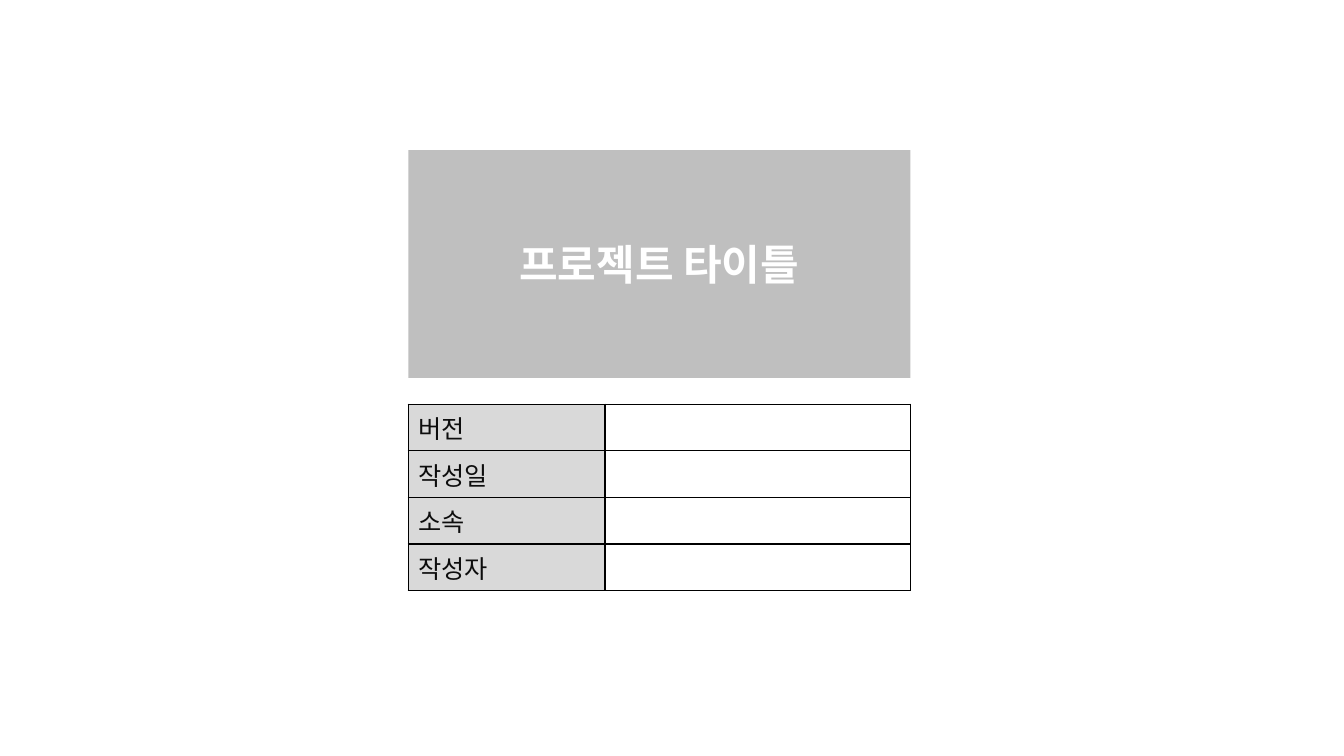
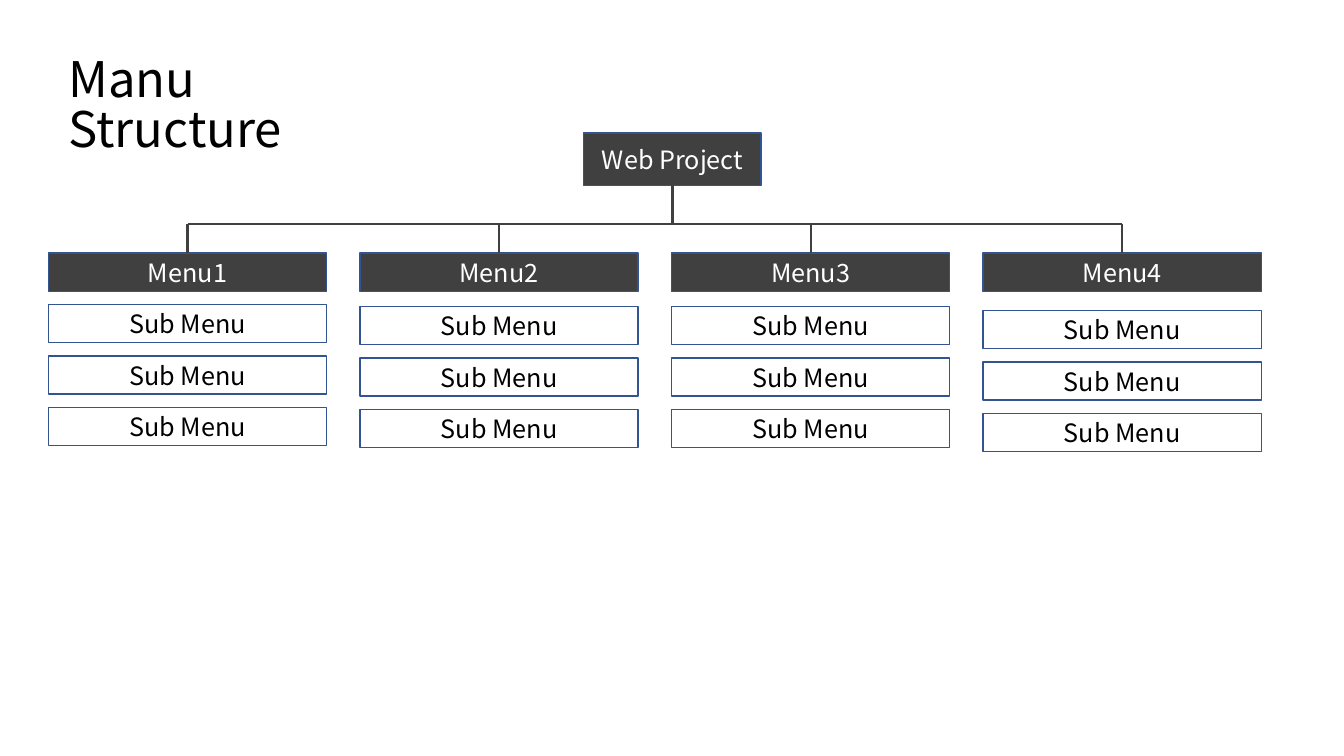
from lxml.etree import SubElement
from pptx import Presentation
from pptx.dml.color import RGBColor
from pptx.enum.shapes import MSO_CONNECTOR, MSO_SHAPE
from pptx.enum.text import MSO_ANCHOR, MSO_AUTO_SIZE, PP_ALIGN
from pptx.oxml.ns import qn
from pptx.util import Emu, Pt

# Shared look; 100 px make one inch
EMU_PER_PX = 9144
FONT = "Noto Sans CJK KR"
BLACK, WHITE = "000000", "FFFFFF"
INK, DARK = "0D0D0D", "404040"
BANNER, LABEL = "BFBFBF", "D9D9D9"
OUTLINE = "325491"
TITLE_ONLY = 5

COVER_LABELS = ["버전", "작성일", "소속", "작성자"]
MENUS = ["Menu1", "Menu2", "Menu3", "Menu4"]
SUB_MENUS = ["Sub Menu"] * 3
SUB_OFFSETS = [51, 53, 53, 57]  # first sub menu below each menu's top


def px(*lengths):
    return [Emu(length * EMU_PER_PX) for length in lengths]


def colour(hex_value):
    return RGBColor.from_string(hex_value)


def set_all(target, values):
    for name, value in values.items():
        setattr(target, name, value)


def write(frame, text, size, ink, bold=False, align=PP_ALIGN.CENTER):
    para = frame.paragraphs[0]
    para.alignment = align
    span = para.add_run()
    span.text = text
    set_all(span.font, {"name": FONT, "size": Pt(size), "bold": bold})
    span.font.color.rgb = colour(ink)
    # Hangul takes the East Asian typeface
    SubElement(span.font._element, qn("a:ea"), typeface=FONT)
    return para


def place_title(page, box, text, size, ink, **style):
    title = page.shapes.title
    set_all(title, dict(zip(("left", "top", "width", "height"), px(*box))))
    set_all(title.text_frame, {
        "word_wrap": True,
        "auto_size": MSO_AUTO_SIZE.NONE,
        "vertical_anchor": MSO_ANCHOR.MIDDLE,
    })
    write(title.text_frame, text, size, ink, **style)
    return title


def add_box(page, box, text, ink, fill=None):
    shape = page.shapes.add_shape(MSO_SHAPE.RECTANGLE, *px(*box))
    shape.shadow.inherit = False
    if fill:
        shape.fill.solid()
        shape.fill.fore_color.rgb = colour(fill)
    else:
        shape.fill.background()
    shape.line.color.rgb = colour(OUTLINE)
    shape.line.width = Pt(1)
    set_all(shape.text_frame,
            {"word_wrap": True, "vertical_anchor": MSO_ANCHOR.MIDDLE})
    write(shape.text_frame, text, 18, ink)
    return shape


def add_line(page, start, end):
    line = page.shapes.add_connector(MSO_CONNECTOR.STRAIGHT, *px(*start, *end))
    line.line.color.rgb = colour(DARK)
    line.line.width = Pt(1.5)
    SubElement(line._element.spPr, qn("a:effectLst"))
    return line


def style_cell(cell, fill):
    properties = cell._tc.get_or_add_tcPr()
    for side in ("a:lnL", "a:lnR", "a:lnT", "a:lnB"):
        border = SubElement(properties, qn(side), w=str(Pt(1)))
        solid = SubElement(border, qn("a:solidFill"))
        SubElement(solid, qn("a:srgbClr"), val=BLACK)
    cell.fill.solid()
    cell.fill.fore_color.rgb = colour(fill)


def add_info_table(page, box, labels, label_width):
    width = box[2]
    table = page.shapes.add_table(len(labels), 2, *px(*box)).table
    set_all(table, {"first_row": False, "horz_banding": False})
    widths = px(label_width, width - label_width)
    for column, column_width in zip(table.columns, widths):
        column.width = column_width
    for row, label in zip(table.rows, labels):
        label_cell, value_cell = row.cells
        style_cell(label_cell, LABEL)
        style_cell(value_cell, WHITE)
        write(label_cell.text_frame, label, 18, INK, align=PP_ALIGN.LEFT)


def add_menu_column(page, box, menu, sub_menus, sub_offset):
    left, top, width, height = box
    head = add_box(page, box, menu, WHITE, DARK)
    for index, sub_menu in enumerate(sub_menus):
        sub_top = top + sub_offset + 51 * index
        add_box(page, (left, sub_top, width, height), sub_menu, BLACK)
    return head


def add_menu_tree(page, box):
    left, top, width, _ = box
    column_width, column_step = 276, 309
    menu_top, bar_y = top + 119, top + 90

    # Root
    root_left, root_width, root_height = left + 531, 176, 52
    root = add_box(page, (root_left, top, root_width, root_height),
                   "Web Project", WHITE, DARK)

    # Menu columns
    lefts = [left + column_step * index for index in range(len(MENUS))]
    heads = [
        add_menu_column(page, (column, menu_top, column_width, 38),
                        menu, SUB_MENUS, offset)
        for column, menu, offset in zip(lefts, MENUS, SUB_OFFSETS)
    ]

    # Lines from the root through the bar to the menus
    centres = [column + column_width // 2 for column in lefts]
    add_line(page, (centres[0], bar_y), (centres[-1], bar_y))
    root_centre = root_left + root_width // 2
    trunk = add_line(page, (root_centre, top + root_height), (root_centre, bar_y))
    trunk.begin_connect(root, 2)
    for centre, head in zip(centres, heads):
        branch = add_line(page, (centre, bar_y), (centre, menu_top))
        branch.end_connect(head, 0)


def build_cover(page, box):
    left, top, width, _ = box
    banner = place_title(page, (left, top, width, 226), "프로젝트 타이틀",
                         30, WHITE, bold=True)
    banner.fill.solid()
    banner.fill.fore_color.rgb = colour(BANNER)
    add_info_table(page, (left, top + 252, width, 162), COVER_LABELS, 195)


def build_menu_structure(page, box):
    left, top, width, height = box
    title = place_title(page, (left + 10, top, 364, 69), "Manu Structure",
                        35, BLACK, align=PP_ALIGN.LEFT)
    set_all(title.text_frame,
            {"vertical_anchor": MSO_ANCHOR.TOP, "margin_top": px(7)[0]})
    title.text_frame.paragraphs[0].line_spacing = 0.84
    add_menu_tree(page, (left, top + 81, width, height - 81))


def main():
    deck = Presentation()
    deck.slide_width, deck.slide_height = px(1333, 750)
    regions = [
        (build_cover, (405, 149, 498, 414)),
        (build_menu_structure, (48, 51, 1203, 396)),
    ]
    for build, box in regions:
        build(deck.slides.add_slide(deck.slide_layouts[TITLE_ONLY]), box)
    deck.save("out.pptx")


if __name__ == "__main__":
    main()
